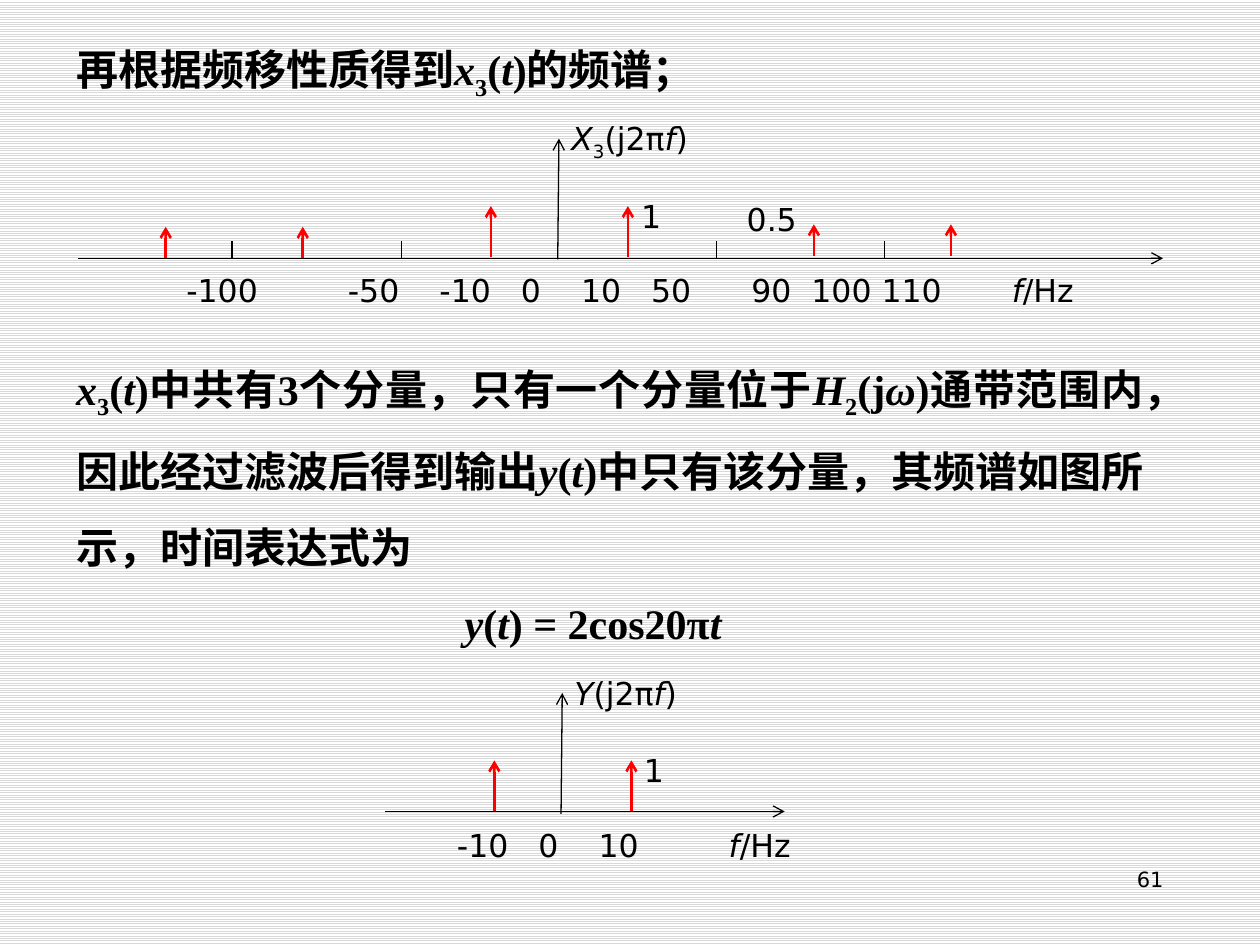
from typing import NamedTuple

from lxml import etree
from pptx import Presentation
from pptx import util as u
from pptx.dml.color import RGBColor
from pptx.enum import dml, shapes, text
from pptx.oxml import ns

SERIF, SANS = "Times New Roman", "DejaVu Sans"
BLACK, RED, WHITE, STRIPE = "000000", "FF0000", "FFFFFF", "D9D9D9"
LEFT, RIGHT, JUSTIFY = text.PP_ALIGN.LEFT, text.PP_ALIGN.RIGHT, text.PP_ALIGN.JUSTIFY


class Run(NamedTuple):
    text: str
    italic: bool = False
    sub: bool = False


class Para(NamedTuple):
    runs: list[Run]
    align: text.PP_ALIGN = LEFT
    spacing: float | None = None
    indent: float = 0


class Box(NamedTuple):
    left: float
    top: float
    width: float
    height: float
    paras: list[Para]
    size: float = 18
    font: str = SANS
    bold: bool = False


class Line(NamedTuple):
    x1: float
    y1: float
    x2: float
    y2: float
    color: str = BLACK
    width: float = 0.75
    arrow: bool = True


def rgb(value: str) -> RGBColor:
    return RGBColor.from_string(value)


def it(value: str) -> Run:
    return Run(value, italic=True)


def sub(value: str) -> Run:
    return Run(value, sub=True)


def func(name: str, arg: str = "t", index: str = "", lead: str = "(") -> list[Run]:
    """Runs of a function such as x3(t), up to its closing bracket."""
    return [it(name)] + ([sub(index)] if index else []) + [Run(lead), it(arg)]


def add_para(p, para: Para, box: Box) -> None:
    p.alignment = para.align
    if para.spacing:
        p.line_spacing = para.spacing
    p_pr = p._p.get_or_add_pPr()
    p_pr.set("marL", str(u.Pt(para.indent)))
    p_pr.set("indent", "0")
    for run in para.runs:
        r = p.add_run()
        r.text = run.text
        r.font.size, r.font.name = u.Pt(box.size), box.font
        r.font.bold, r.font.italic = box.bold, run.italic
        r.font.color.rgb = rgb(BLACK)
        if run.sub:
            r.font._element.set("baseline", "-25000")


def add_box(s, box: Box) -> None:
    sp = s.shapes.add_textbox(*map(u.Pt, box[:4]))
    tf = sp.text_frame
    tf.word_wrap = True
    tf.auto_size = text.MSO_AUTO_SIZE.SHAPE_TO_FIT_TEXT
    for i, para in enumerate(box.paras):
        add_para(tf.add_paragraph() if i else tf.paragraphs[0], para, box)


def add_line(s, line: Line) -> None:
    sp = s.shapes.add_connector(shapes.MSO_CONNECTOR.STRAIGHT, *map(u.Pt, line[:4]))
    sp.line.color.rgb = rgb(line.color)
    sp.line.width = u.Pt(line.width)
    if line.arrow:
        etree.SubElement(sp.line._get_or_add_ln(), ns.qn("a:tailEnd"), type="arrow")
    etree.SubElement(sp._element.spPr, ns.qn("a:effectLst"))


def impulse(x: float, base: float, height: float) -> Line:
    return Line(x, base, x, base - height, RED, 1.5)


def label(left: float, top: float, width: float, runs: list[Run]) -> Box:
    return Box(left, top, width, 28.8, [Para(runs)])


def axis_labels(top: float, values: dict[str, float], unit_left: float) -> list[Box]:
    """One box for each frequency value, then the unit of the axis."""
    boxes = [label(left, top, 62, [Run(value)]) for value, left in values.items()]
    return boxes + [label(unit_left, top, 62, [it("f"), Run("/Hz")])]


# Body text
heading = Para([Run("再根据频移性质得到"), *func("x", index="3"), Run(")的频谱；")],
               JUSTIFY, 1.5, 0.72)
explanation = Para(
    [*func("x", index="3"), Run(")中共有3个分量，只有一个分量位于"),
     *func("H", "ω", "2", "(j"), Run(")通带范围内，因此经过滤波后得到输出"),
     *func("y"), Run(")中只有该分量，其频谱如图所示，时间表达式为")],
    JUSTIFY, 1.5, 0.72)
formula = Para([*func("y"), Run(") = 2cos20π"), it("t")], LEFT, 1.5, 222.72)

# Left edges of the frequency labels
X3_VALUES = {"-100": 99.4, "-50": 191.7, "-10": 244, "0": 290.6, "10": 325,
             "50": 365, "90": 422.3, "100": 456.6, "110": 496.7}
Y_VALUES = {"-10": 254, "0": 300.6, "10": 334.9}

BOXES = [
    Box(515.8, 491.8, 156.2, 37.4, [Para([Run("61")], RIGHT)], 12),
    Box(35.7, 5, 575.3, 50.4, [heading], 24, SERIF, True),
    Box(35.7, 187.7, 625, 181.4, [explanation, formula], 24, SERIF, True),
    # Spectrum of x3
    *axis_labels(151.2, X3_VALUES, 571.1),
    label(319.4, 64.5, 115.2, [*func("X", "f", "3", "(j2π"), Run(")")]),
    label(359.3, 109, 44.6, [Run("1")]),
    label(419.6, 110.9, 58.3, [Run("0.5")]),
    # Spectrum of y
    *axis_labels(468.7, Y_VALUES, 409.3),
    label(321.1, 381.6, 115.2, [*func("Y", "f", lead="(j2π"), Run(")")]),
    label(360.9, 425.5, 44.6, [Run("1")]),
]

LINES = [
    # Axes of both spectra
    Line(44.6, 147.6, 664.6, 147.6), Line(318.7, 148.3, 319.4, 79.2),
    Line(220.3, 463.7, 448.4, 463.7), Line(320.6, 465.1, 321.3, 396),
    # Ticks and impulses
    *(Line(x, 148, x, 138, arrow=False) for x in (132.5, 229.3, 409.3, 505.4)),
    *(impulse(x, 147.6, 18) for x in (94.7, 173)),
    *(impulse(x, 146.6, 28.8) for x in (280.5, 358.8)),
    *(impulse(x, 146.2, 18) for x in (465.1, 543.4)),
    *(impulse(x, 463.3, 28.8) for x in (282.5, 360.8)),
]


def main() -> None:
    prs = Presentation()
    prs.slide_width, prs.slide_height = u.Pt(720), u.Pt(540)
    s = prs.slides.add_slide(prs.slide_layouts[6])

    # Striped background
    fill = s.background.fill
    fill.patterned()
    fill.pattern = dml.MSO_PATTERN.LIGHT_HORIZONTAL
    fill.fore_color.rgb, fill.back_color.rgb = rgb(STRIPE), rgb(WHITE)

    for line in LINES:
        add_line(s, line)
    for box in BOXES:
        add_box(s, box)
    prs.save("out.pptx")


if __name__ == "__main__":
    main()
